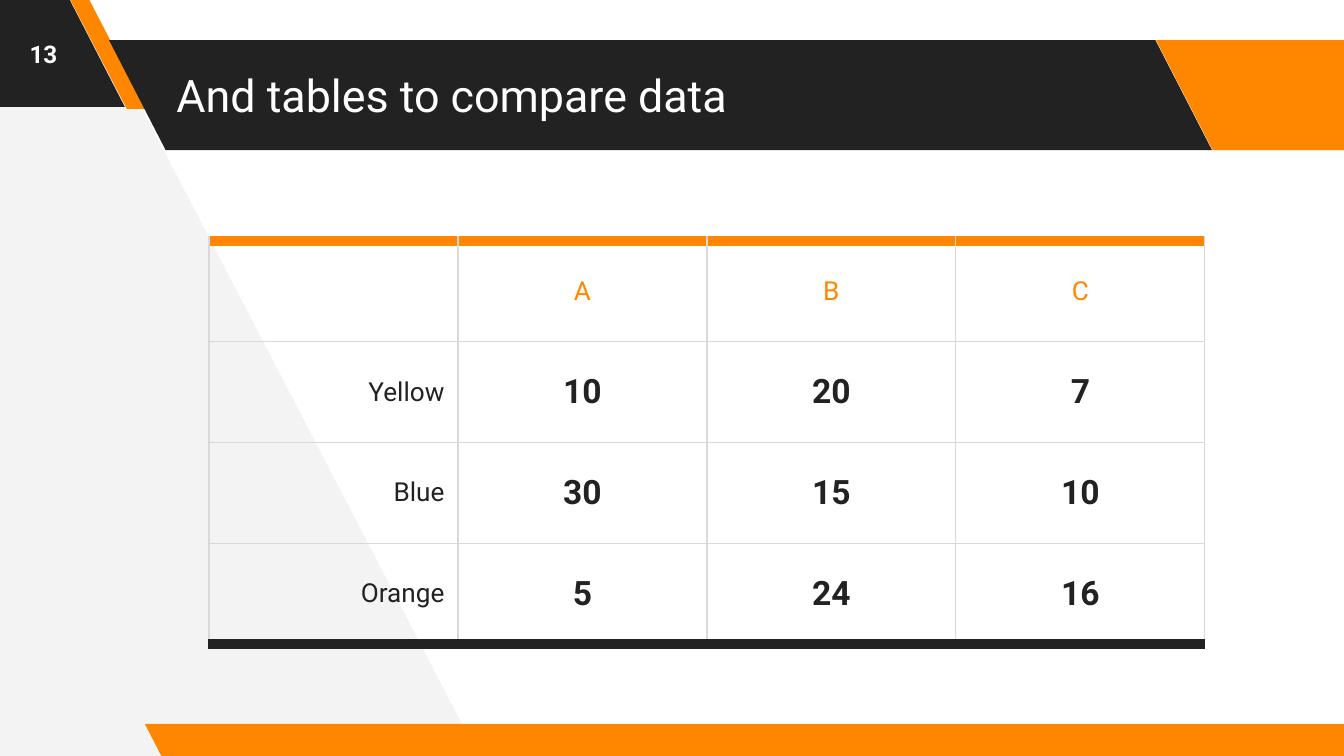
from lxml import etree
from pptx import Presentation
from pptx import util as u
from pptx.dml.color import RGBColor
from pptx.enum import shapes, text
from pptx.oxml import ns

ORANGE = RGBColor(0xFF, 0x87, 0x00)
DARK = RGBColor(0x22, 0x22, 0x22)
PALE = RGBColor(0xF3, 0xF3, 0xF3)
GRID = RGBColor(0xD9, 0xD9, 0xD9)
WHITE = RGBColor(0xFF, 0xFF, 0xFF)
FONT = "Roboto"
EMU_PER_PIXEL = 914400 / 134.4
LEFT, CENTER, RIGHT = text.PP_ALIGN.LEFT, text.PP_ALIGN.CENTER, text.PP_ALIGN.RIGHT


def px(*lengths):
    """Turn pixel lengths into a list of EMU lengths."""
    return [u.Emu(round(length * EMU_PER_PIXEL)) for length in lengths]


def paint(shape, color):
    """Give a shape a plain fill with no line or shadow."""
    shape.fill.solid()
    shape.fill.fore_color.rgb = color
    shape.line.fill.background()
    shape.shadow.inherit = False


def write(frame, words, size, color, align, bold=False):
    """Put one formatted run into the first paragraph of a text frame."""
    para = frame.paragraphs[0]
    para.alignment = align
    span = para.add_run()
    span.text = words
    span.font.name, span.font.size = FONT, u.Pt(size)
    span.font.bold, span.font.color.rgb = bold, color


def set_frame(frame):
    """Give a text frame even insets, wrapping and middle anchoring."""
    frame.word_wrap = True
    frame.auto_size = text.MSO_AUTO_SIZE.NONE
    frame.vertical_anchor = text.MSO_ANCHOR.MIDDLE
    inset = u.Inches(0.1)
    frame.margin_left = frame.margin_right = inset
    frame.margin_top = frame.margin_bottom = inset


def add_slant(page, box, color, slant=0.515):
    """Add a parallelogram whose sides lean to the left."""
    shape = page.shapes.add_shape(shapes.MSO_SHAPE.PARALLELOGRAM, *px(*box))
    shape.adjustments[0] = slant
    shape._element.spPr.xfrm.set("flipH", "1")
    paint(shape, color)


def add_backdrop(page, box):
    """Draw the pale wedge and the slanted bands across the page box."""
    left, top, width, height = box
    corners = [(478, 755), (83, -5), (-8, -5), (-3, 761)]
    points = [px(left + x, top + y) for x, y in corners]
    builder = page.shapes.build_freeform(*points[0], scale=1.0)
    builder.add_line_segments(points[1:], close=True)
    paint(builder.convert_to_shape(), PALE)

    add_slant(page, (left - 133, top - 3, 258, 110), DARK)
    add_slant(page, (left + 70, top - 1, 76, 110), ORANGE, 0.75)
    add_slant(page, (left + 109, top + 40, 1103, 110), DARK)
    add_slant(page, (left + 1156, top + 40, 258, 110), ORANGE)
    add_slant(page, (left + 145, top + height - 32, width - 114, 34), ORANGE)


def add_title(page, box, words):
    """Place the title placeholder in front of the bands."""
    title = page.shapes.title
    title.left, title.top, title.width, title.height = px(*box)
    set_frame(title.text_frame)
    write(title.text_frame, words, 24, WHITE, LEFT)
    page.shapes._spTree.append(title._element)


def add_page_number(page, box, number):
    """Write the page number in the corner box."""
    label = page.shapes.add_textbox(*px(*box))
    set_frame(label.text_frame)
    write(label.text_frame, number, 13, WHITE, CENTER, bold=True)


def set_borders(cell, top, bottom):
    """Draw the cell borders; top and bottom are (color, points) pairs."""
    thin = (GRID, 0.75)
    sides = {"lnL": thin, "lnR": thin, "lnT": top, "lnB": bottom}
    properties = cell._tc.get_or_add_tcPr()
    for place, (side, (color, points)) in enumerate(sides.items()):
        line = etree.Element(ns.qn("a:" + side), w=str(u.Pt(points)))
        fill = etree.SubElement(line, ns.qn("a:solidFill"))
        etree.SubElement(fill, ns.qn("a:srgbClr"), val=str(color))
        properties.insert(place, line)


def add_data_table(page, box, rows):
    """Add an even grid with a header row and a label column."""
    count, columns = len(rows), len(rows[0])
    left, top, width, height = box
    table = page.shapes.add_table(count, columns, *px(*box)).table
    table.first_row = table.horz_banding = False
    for column in table.columns:
        column.width = px(width / columns)[0]
    for row in table.rows:
        row.height = px(height / count)[0]

    thin = (GRID, 0.75)
    for r, row in enumerate(rows):
        for c, words in enumerate(row):
            cell = table.cell(r, c)
            cell.fill.background()
            cell.vertical_anchor = text.MSO_ANCHOR.MIDDLE
            cell.margin_left = cell.margin_right = u.Inches(0.1)
            cell.margin_top = cell.margin_bottom = u.Inches(0.07)
            set_borders(cell, (ORANGE, 6) if r == 0 else thin,
                        (DARK, 6) if r == count - 1 else thin)
            if words:
                value = r > 0 and c > 0
                write(cell.text_frame, words, 18 if value else 14,
                      DARK if r else ORANGE, CENTER if c else RIGHT, value)


def build_table_slide(deck, box):
    """Build the table slide inside the page box."""
    left, top = box[:2]
    page = deck.slides.add_slide(deck.slide_layouts[5])
    add_backdrop(page, box)
    add_title(page, (left + 163, top + 40, 988, 110), "And tables to compare data")
    add_data_table(page, (left + 209, top + 241, 996, 403), [
        ("", "A", "B", "C"),
        ("Yellow", "10", "20", "7"),
        ("Blue", "30", "15", "10"),
        ("Orange", "5", "24", "16"),
    ])
    add_page_number(page, (left, top, 87, 108), "13")


deck = Presentation()
deck.slide_width, deck.slide_height = px(1344, 756)
build_table_slide(deck, (0, 0, 1344, 756))
deck.save("out.pptx")
